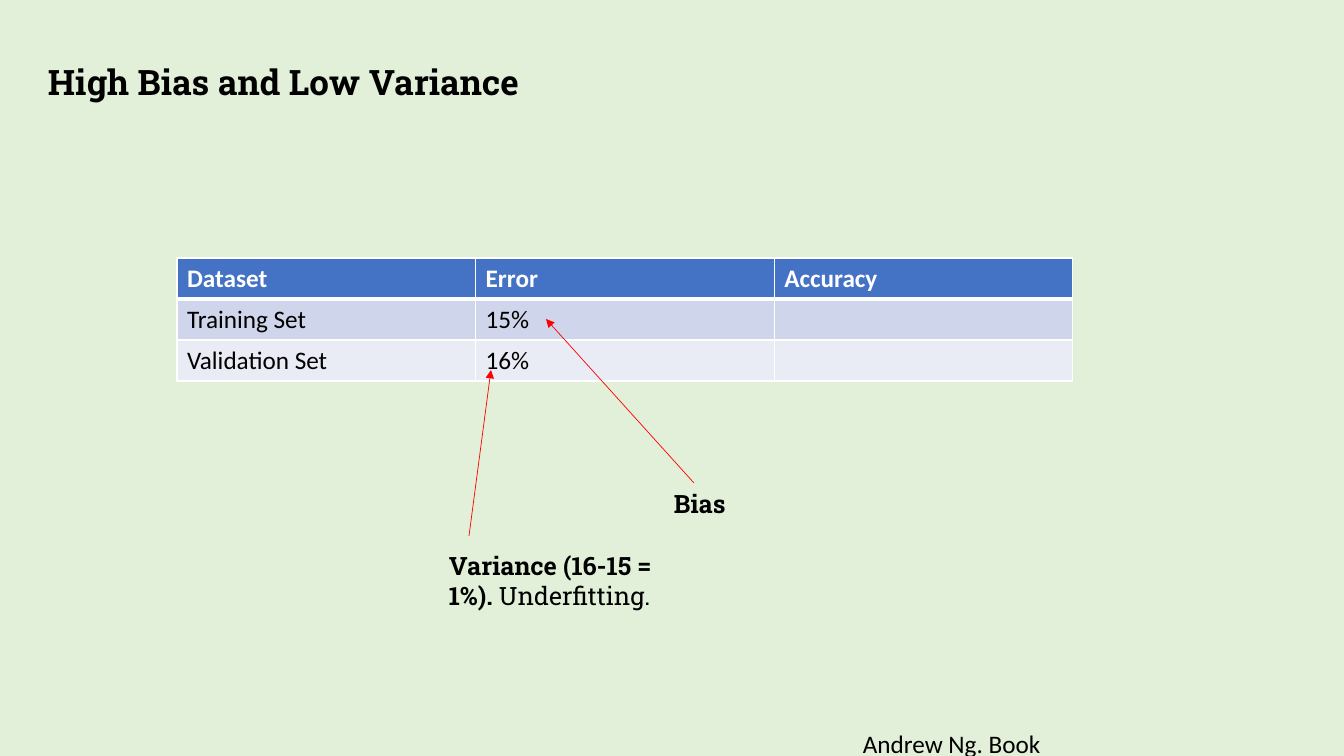
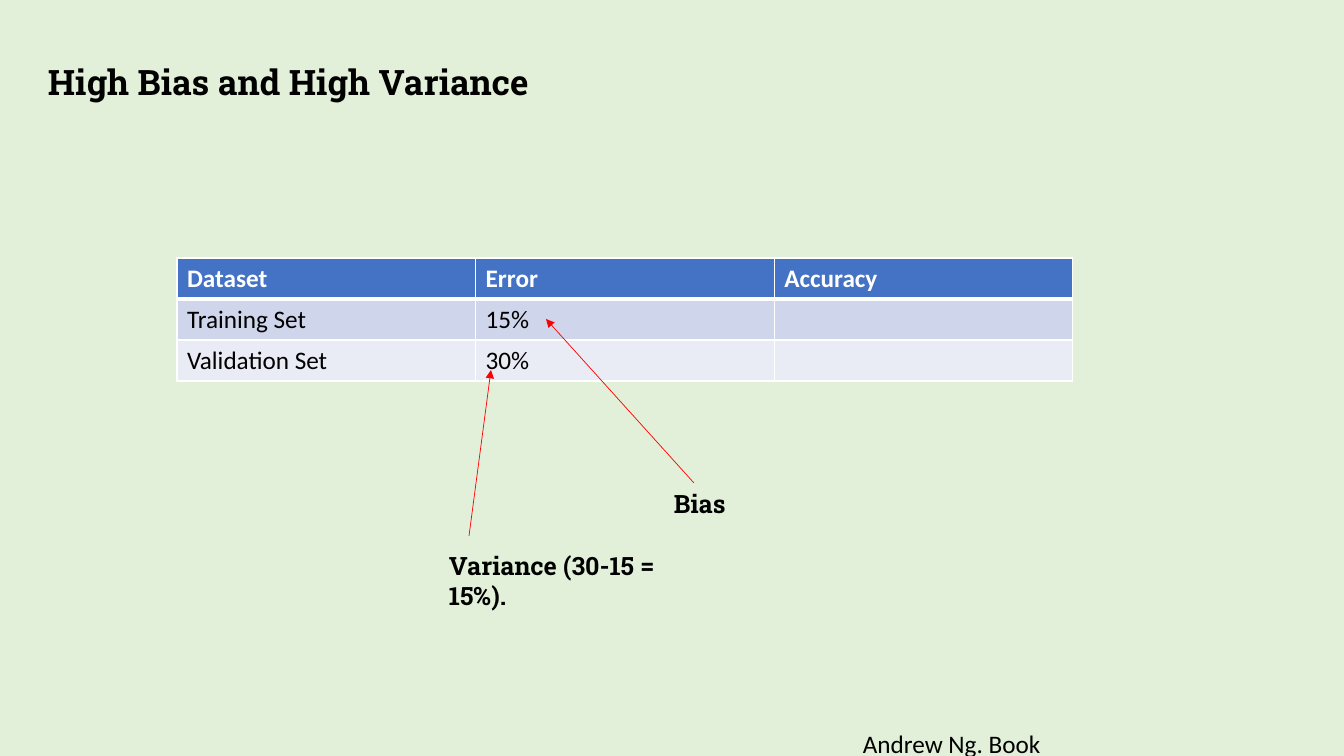
from lxml import etree
from pptx import Presentation
from pptx.dml.color import RGBColor
from pptx.enum.shapes import MSO_CONNECTOR
from pptx.enum.text import MSO_AUTO_SIZE
from pptx.oxml.ns import qn
from pptx.util import Emu, Pt

STRAIGHT = MSO_CONNECTOR.STRAIGHT
GROW = MSO_AUTO_SIZE.SHAPE_TO_FIT_TEXT
EMU_PER_PX = 914400 / 100.8
HEADING_FONT, BODY_FONT = "Roboto Slab", "Calibri"
COLORS = {
    "background": "E2F0D9",
    "text": "000000",
    "white": "FFFFFF",
    "header": "4472C4",
    "odd_row": "CFD5EA",
    "even_row": "E9EBF5",
    "arrow": "FF0000",
}


def px(n):
    """Turn pixels into EMU."""
    return Emu(round(n * EMU_PER_PX))


def rgb(name):
    """Look up a named colour."""
    return RGBColor.from_string(COLORS[name])


class Deck:
    """Holds the presentation style and the current slide."""

    def __init__(self):
        """Start an empty widescreen presentation."""
        self.prs = Presentation()
        self.prs.slide_width, self.prs.slide_height = px(1344), px(756)
        self.s = None

    def slide(self, title):
        """Add a slide with its background, title and credit line."""
        self.s = self.prs.slides.add_slide(self.prs.slide_layouts[6])
        fill = self.s.background.fill
        fill.solid()
        fill.fore_color.rgb = rgb("background")
        self.text((38, 56, 642, 52), [(title, True)], size=25)
        self.text((853, 723, 330, 40), [("Andrew Ng. Book", False)], font=BODY_FONT)

    def format(self, r, size, font, color, bold):
        """Style one run."""
        r.font.size, r.font.name, r.font.bold = Pt(size), font, bold
        r.font.color.rgb = rgb(color)

    def text(self, box, runs, size=18, font=HEADING_FONT):
        """Add a wrapping text box made of (text, bold) runs."""
        tf = self.s.shapes.add_textbox(*map(px, box)).text_frame
        tf.word_wrap = True
        tf.auto_size = GROW
        p = tf.paragraphs[0]
        for content, bold in runs:
            r = p.add_run()
            r.text = content
            self.format(r, size, font, "text", bold)

    def arrow(self, start, end):
        """Add a thin arrow pointing at end."""
        c = self.s.shapes.add_connector(STRAIGHT, *map(px, start + end))
        c.line.color.rgb = rgb("arrow")
        c.line.width = Pt(0.5)
        etree.SubElement(c.line._get_or_add_ln(), qn("a:tailEnd"), type="triangle")
        etree.SubElement(c._element.spPr, qn("a:effectLst"))

    def borders(self, cell, widths):
        """Draw white cell borders, with widths in points by side."""
        tc_pr = cell._tc.get_or_add_tcPr()
        for i, side in enumerate("LRTB"):
            ln = etree.Element(qn("a:ln" + side), w=str(Pt(widths.get(side, 1))))
            fill = etree.SubElement(ln, qn("a:solidFill"))
            etree.SubElement(fill, qn("a:srgbClr"), val=COLORS["white"])
            tc_pr.insert(i, ln)

    def table(self, box, rows):
        """Add a table with a header row and banded body rows."""
        shape = self.s.shapes.add_table(len(rows), len(rows[0]), *map(px, box))
        for i, row in enumerate(rows):
            header = i == 0
            band = "header" if header else "odd_row" if i % 2 else "even_row"
            thick = {0: {"B": 3}, 1: {"T": 3}}.get(i, {})
            for j, content in enumerate(row):
                cell = shape.table.cell(i, j)
                cell.fill.solid()
                cell.fill.fore_color.rgb = rgb(band)
                self.borders(cell, thick)
                cell.text = content
                for r in cell.text_frame.paragraphs[0].runs:
                    self.format(r, 18, BODY_FONT, "white" if header else "text", header)

    def error_slide(self, title, validation_error, variance):
        """Add a slide that explains bias and variance from an error table."""
        self.slide(title)
        self.table((177, 258, 896, 123), [
            ("Dataset", "Error", "Accuracy"),
            ("Training Set", "15%", ""),
            ("Validation Set", validation_error, ""),
        ])
        self.arrow((694, 483), (546, 319))
        self.text((664, 483, 165, 40), [("Bias", True)])
        self.arrow((469, 536), (491, 370))
        self.text((439, 545, 241, 71), variance)


deck = Deck()
deck.error_slide("High Bias and Low Variance", "16%",
                 [("Variance (16-15 = 1%). ", True), ("Underfitting.", False)])
deck.error_slide("High Bias and High Variance", "30%",
                 [("Variance (30-15 = 15%).", True)])
deck.prs.save("out.pptx")
